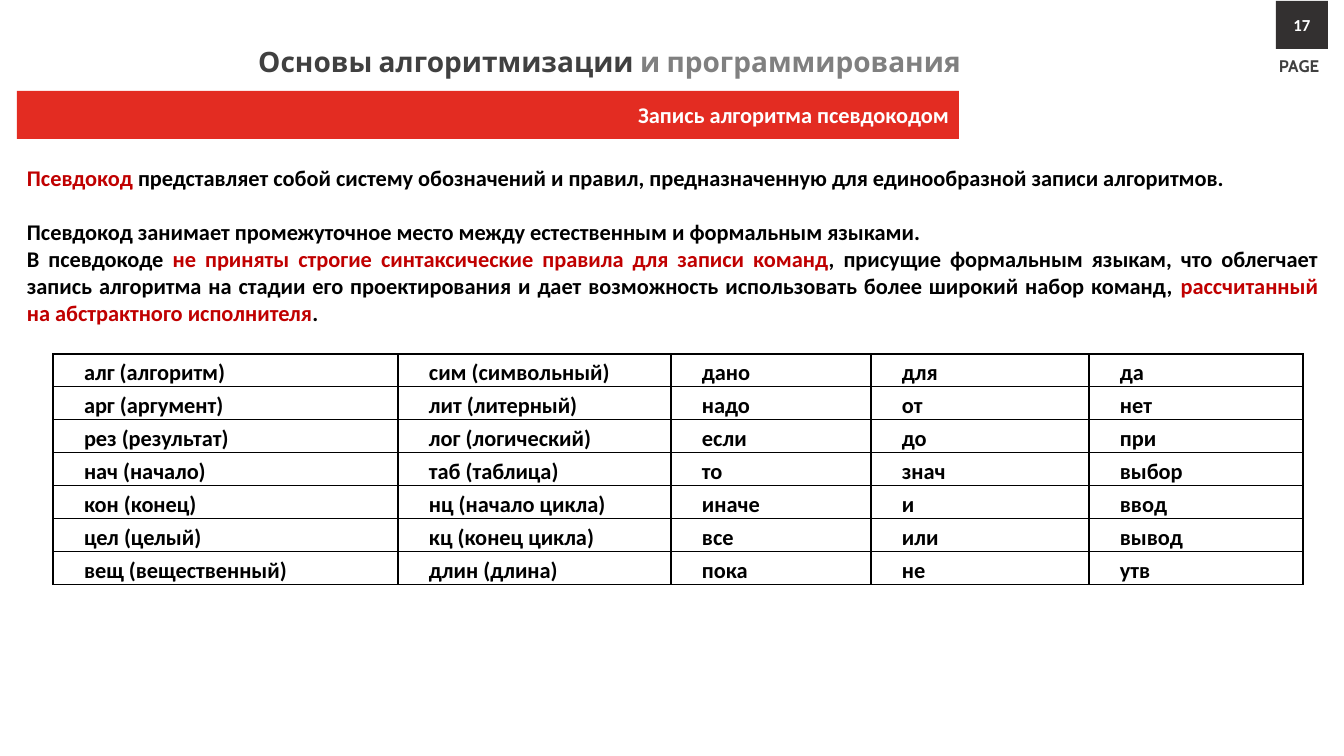
from dataclasses import dataclass

from lxml import etree
from pptx import Presentation
from pptx.dml.color import RGBColor
from pptx.enum.shapes import MSO_SHAPE
from pptx.enum.text import MSO_ANCHOR, MSO_AUTO_SIZE, PP_ALIGN
from pptx.oxml.ns import qn
from pptx.util import Emu, Pt

RECTANGLE = MSO_SHAPE.RECTANGLE
TOP, MIDDLE = MSO_ANCHOR.TOP, MSO_ANCHOR.MIDDLE
LEFT, CENTER, RIGHT, JUSTIFY = PP_ALIGN.LEFT, PP_ALIGN.CENTER, PP_ALIGN.RIGHT, PP_ALIGN.JUSTIFY
NO_AUTOFIT = MSO_AUTO_SIZE.NONE


@dataclass(frozen=True)
class Theme:
    dark: str = "404040"
    gray: str = "808080"
    black: str = "000000"
    white: str = "FFFFFF"
    accent: str = "C00000"
    banner: str = "E32C22"
    page_box: str = "333030"
    heading_font: str = "Cabin"
    body_font: str = "Calibri"
    heading_size: int = 20
    body_size: int = 16
    page_size: int = 12


THEME = Theme()

# Content: each paragraph is a list of (text, colour) runs
HEADING = [[("Основы алгоритмизации ", THEME.dark), ("и программирования", THEME.gray)]]
SUBTITLE = [[("Запись алгоритма псевдокодом", THEME.white)]]
PAGE_LABEL = [[("PAGE", THEME.dark)]]
PAGE_NUMBER = [[("17", THEME.white)]]
BODY = [
    [("Псевдокод", THEME.accent),
     (" представляет собой систему обозначений и правил, предназначенную "
      "для единообразной записи алгоритмов.", THEME.black)],
    [("Псевдокод занимает промежуточное место между естественным и "
      "формальным языками.", THEME.black)],
    [("В псевдокоде ", THEME.black),
     ("не приняты строгие синтаксические правила для записи команд", THEME.accent),
     (", присущие формальным языкам, что облегчает запись алгоритма на стадии "
      "его проектирования и дает возможность использовать более широкий набор "
      "команд, ", THEME.black),
     ("рассчитанный на абстрактного исполнителя", THEME.accent),
     (".", THEME.black)],
]
KEYWORDS = [
    ("алг (алгоритм)", "сим (символьный)", "дано", "для", "да"),
    ("арг (аргумент)", "лит (литерный)", "надо", "от", "нет"),
    ("рез (результат)", "лог (логический)", "если", "до", "при"),
    ("нач (начало)", "таб (таблица)", "то", "знач", "выбор"),
    ("кон (конец)", "нц (начало цикла)", "иначе", "и", "ввод"),
    ("цел (целый)", "кц (конец цикла)", "все", "или", "вывод"),
    ("вещ (вещественный)", "длин (длина)", "пока", "не", "утв"),
]

# Layout in px
SLIDE_SIZE = (1344, 756)
HEADING_BOX = (183, 39, 788, 44)
SUBTITLE_BOX = (17, 91, 942, 48)
PAGE_LABEL_BOX = (1269, 51, 70, 30)
PAGE_NUMBER_BOX = (1276, 1, 52, 48)
BODY_BOX = (17, 159, 1311, 173)
TABLE_ORIGIN = (53, 354)
COLUMN_WIDTHS = (345, 273, 200, 218, 214)
ROW_HEIGHT = 32
CELL_MARGIN = 7
CELL_INDENT = 24
BODY_GAP = Pt(19.5)


def px(length):
    return Emu(round(length * 914400 / 100.8))


def write(text_frame, paragraphs, size, font_name, align, anchor=TOP):
    text_frame.word_wrap = True
    text_frame.auto_size = NO_AUTOFIT
    text_frame.vertical_anchor = anchor
    for index, runs in enumerate(paragraphs):
        paragraph = text_frame.add_paragraph() if index else text_frame.paragraphs[0]
        paragraph.alignment = align
        for text, color in runs:
            run = paragraph.add_run()
            run.text = text
            run.font.size = Pt(size)
            run.font.name = font_name
            run.font.bold = True
            run.font.color.rgb = RGBColor.from_string(color)


def add_text(slide, box, *text_options):
    shape = slide.shapes.add_textbox(*map(px, box))
    write(shape.text_frame, *text_options)
    return shape


def add_box(slide, box, fill, *text_options):
    shape = slide.shapes.add_shape(RECTANGLE, *map(px, box))
    shape.shadow.inherit = False
    shape.fill.solid()
    shape.fill.fore_color.rgb = RGBColor.from_string(fill)
    shape.line.fill.background()
    write(shape.text_frame, *text_options)


def add_borders(cell):
    properties = cell._tc.get_or_add_tcPr()
    for side in ("lnL", "lnR", "lnT", "lnB"):
        line = etree.SubElement(properties, qn(f"a:{side}"), w=str(Pt(1)))
        fill = etree.SubElement(line, qn("a:solidFill"))
        etree.SubElement(fill, qn("a:srgbClr"), val=THEME.black)


def add_keyword_table(slide):
    size = (sum(COLUMN_WIDTHS), ROW_HEIGHT * len(KEYWORDS))
    table = slide.shapes.add_table(
        len(KEYWORDS), len(COLUMN_WIDTHS), *map(px, TABLE_ORIGIN + size)).table
    table.first_row = table.horz_banding = False
    for column, width in zip(table.columns, COLUMN_WIDTHS):
        column.width = px(width)
    for row_index, keywords in enumerate(KEYWORDS):
        table.rows[row_index].height = px(ROW_HEIGHT)
        for column_index, keyword in enumerate(keywords):
            cell = table.cell(row_index, column_index)
            cell.margin_left = cell.margin_right = px(CELL_MARGIN)
            cell.margin_top = cell.margin_bottom = 0
            add_borders(cell)
            cell.fill.background()
            cell.text_frame.text = keyword
            paragraph = cell.text_frame.paragraphs[0]
            paragraph.alignment = JUSTIFY
            paragraph.line_spacing = 1.2
            paragraph_properties = paragraph._p.get_or_add_pPr()
            paragraph_properties.set("marL", "0")
            paragraph_properties.set("indent", str(px(CELL_INDENT)))
            font = paragraph.runs[0].font
            font.size = Pt(THEME.body_size)
            font.name = THEME.body_font
            font.bold = True
            font.color.rgb = RGBColor.from_string(THEME.black)


def main():
    presentation = Presentation()
    presentation.slide_width, presentation.slide_height = map(px, SLIDE_SIZE)
    slide = presentation.slides.add_slide(presentation.slide_layouts[5])

    # Page marker
    add_text(slide, PAGE_LABEL_BOX, PAGE_LABEL, THEME.page_size, THEME.heading_font, LEFT)
    add_box(slide, PAGE_NUMBER_BOX, THEME.page_box, PAGE_NUMBER,
            THEME.page_size, THEME.body_font, CENTER, MIDDLE)

    # Heading and banner
    title = slide.shapes.title
    title.left, title.top, title.width, title.height = map(px, HEADING_BOX)
    write(title.text_frame, HEADING, THEME.heading_size, THEME.heading_font, RIGHT)
    add_box(slide, SUBTITLE_BOX, THEME.banner, SUBTITLE,
            THEME.body_size, THEME.body_font, RIGHT, MIDDLE)

    # Explanation
    body = add_text(slide, BODY_BOX, BODY, THEME.body_size, THEME.body_font, JUSTIFY)
    body.text_frame.paragraphs[1].space_before = BODY_GAP

    # Keywords
    add_keyword_table(slide)

    presentation.save("out.pptx")


if __name__ == "__main__":
    main()
